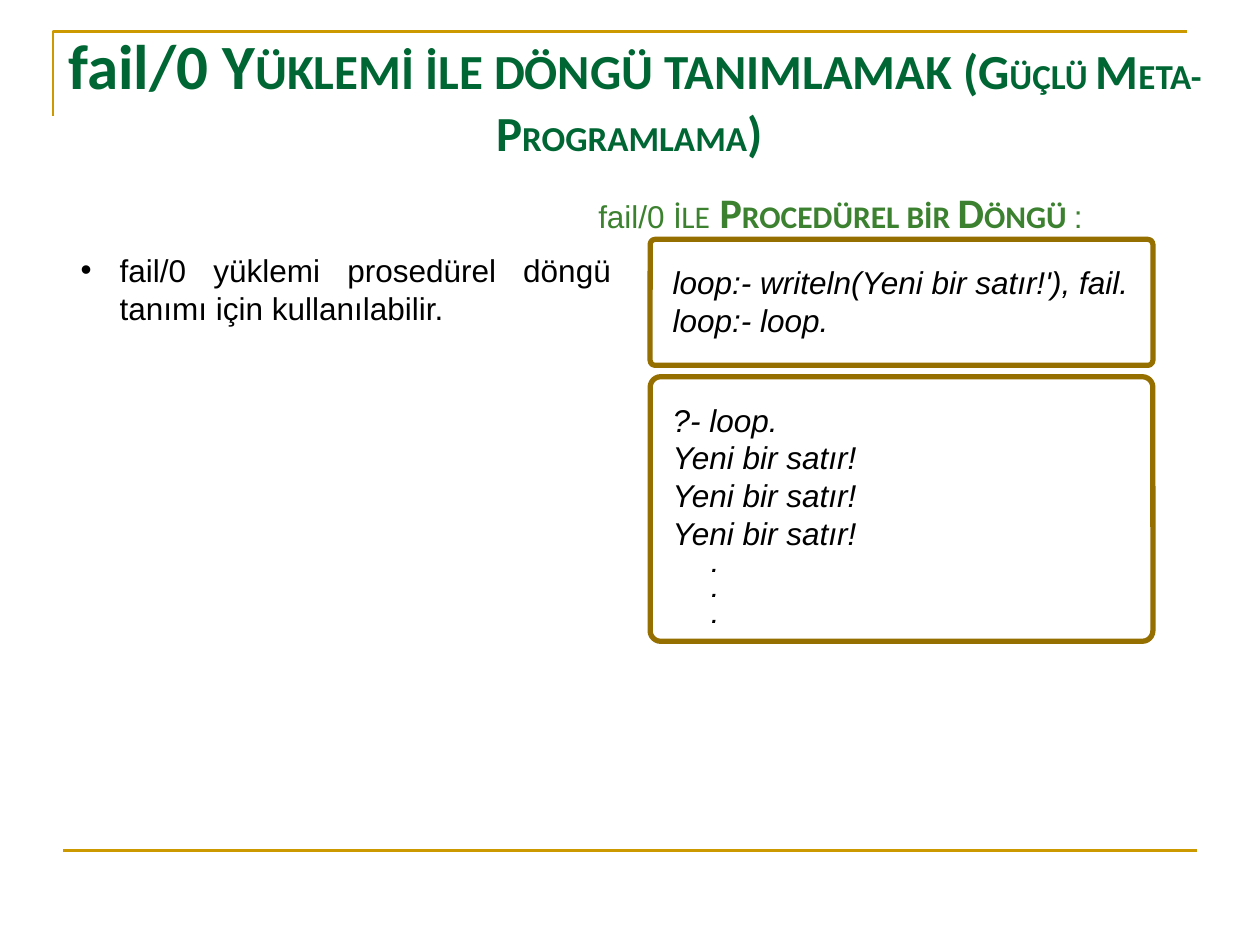
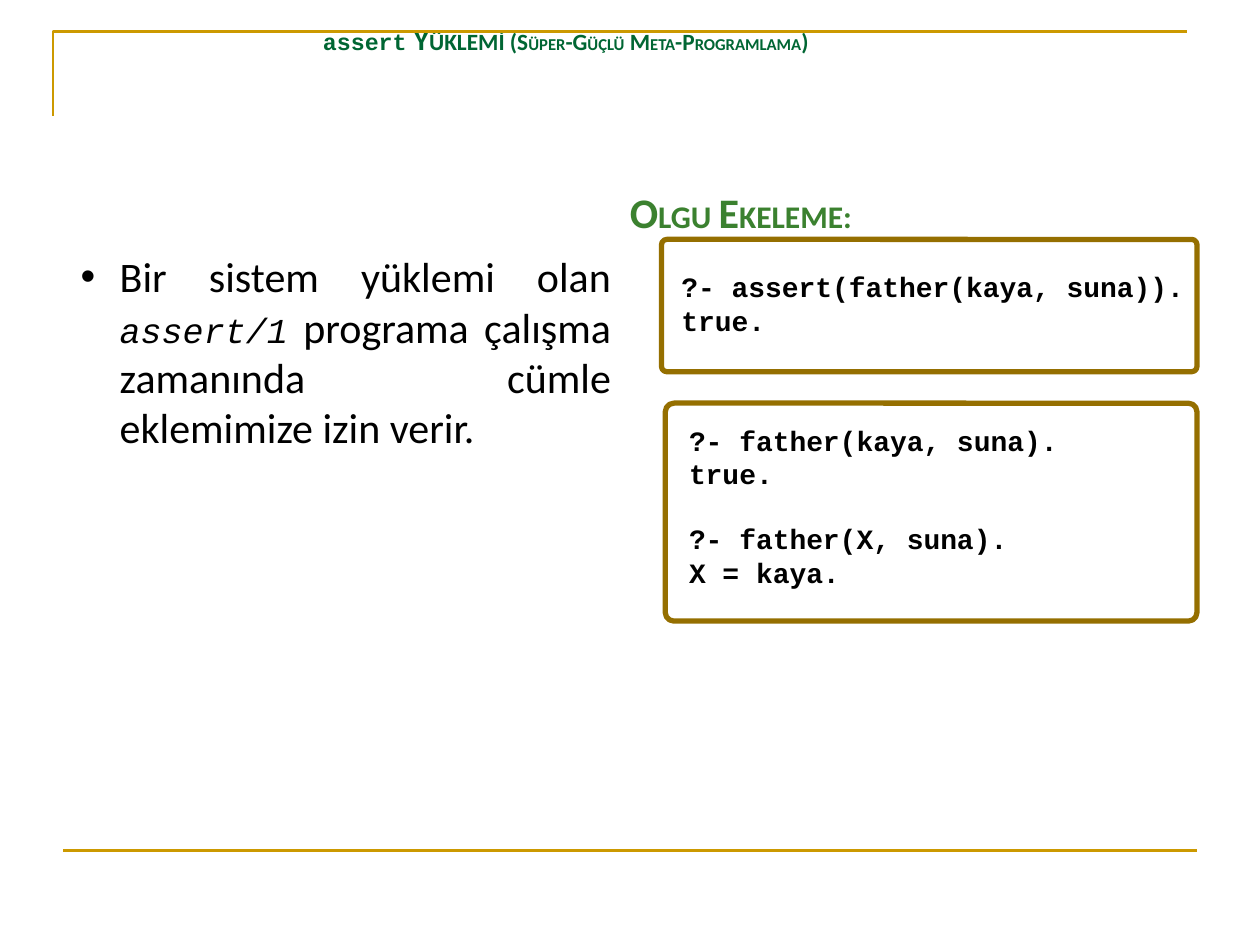
import pptx
import pptx.dml.color
import pptx.enum.shapes
import pptx.enum.text
import pptx.oxml.ns
import pptx.slide
import pptx.text.text
import pptx.util
from dataclasses import dataclass
from typing import Any, NamedTuple
from lxml import etree

EMU_PER_PX = 9144  # 100 px to the inch
COLORS = {
    "rule": "CC9900",
    "frame": "956F00",
    "title": "006633",
    "heading": "3B812F",
    "text": "000000",
}
ALIGN = pptx.enum.text.PP_ALIGN
SANS, HUMANIST, MONO = "Arial", "Calibri", "Courier New"


class Box(NamedTuple):
    left: int
    top: int
    width: int
    height: int


class Run(NamedTuple):
    text: str
    size: float
    font: str = HUMANIST
    bold: bool = True
    italic: bool = False


@dataclass
class Paragraph:
    runs: list[Run]
    align: Any = ALIGN.LEFT
    margin: int = 0
    indent: int = 0
    space_before: float = 0
    space_after: float = 0
    line_spacing: float = 1.0
    bullet: str = ""


@dataclass
class CodePanel:
    frame: Box
    text: Box
    lines: list[Paragraph]


@dataclass
class Lesson:
    title_box: Box
    title: Paragraph
    body_box: Box
    body: list[Run]
    heading_box: Box
    heading: list[Run]
    panels: list[CodePanel]


def px(length: int) -> pptx.util.Emu:
    return pptx.util.Emu(length * EMU_PER_PX)


def rgb(name: str) -> pptx.dml.color.RGBColor:
    return pptx.dml.color.RGBColor.from_string(COLORS[name])


def apply_format(target: Any, values: dict[str, Any]) -> None:
    for name, value in values.items():
        setattr(target, name, value)


def place(shape: Any, box: Box) -> None:
    apply_format(shape, {name: px(value) for name, value in box._asdict().items()})


def add_bullet(properties: Any, character: str) -> None:
    qn = pptx.oxml.ns.qn
    color = etree.SubElement(properties, qn("a:buClr"))
    etree.SubElement(color, qn("a:srgbClr"), val=COLORS["text"])
    etree.SubElement(properties, qn("a:buFont"), typeface=SANS)
    etree.SubElement(properties, qn("a:buChar"), char=character)


def write_paragraph(paragraph: pptx.text.text._Paragraph, content: Paragraph, color: str) -> None:
    apply_format(paragraph, {
        "alignment": content.align,
        "line_spacing": content.line_spacing,
        "space_before": pptx.util.Pt(content.space_before),
        "space_after": pptx.util.Pt(content.space_after),
    })
    properties = paragraph._p.get_or_add_pPr()
    properties.set("marL", str(px(content.margin)))
    properties.set("indent", str(px(content.indent)))
    if content.bullet:
        add_bullet(properties, content.bullet)
    for item in content.runs:
        run = paragraph.add_run()
        run.text = item.text
        apply_format(run.font, {
            "name": item.font,
            "size": pptx.util.Pt(item.size),
            "bold": item.bold,
            "italic": item.italic,
        })
        run.font.color.rgb = rgb(color)


def fill_text(shape: Any, box: Box, paragraphs: list[Paragraph], color: str) -> None:
    """Move a text shape to its box and write the paragraphs into it."""
    place(shape, box)
    frame = shape.text_frame
    apply_format(frame, {
        "word_wrap": True,
        "auto_size": pptx.enum.text.MSO_AUTO_SIZE.NONE,
        "vertical_anchor": pptx.enum.text.MSO_ANCHOR.TOP,
        "margin_left": px(10),
        "margin_right": px(10),
        "margin_top": px(5),
        "margin_bottom": px(5),
    })
    for index, content in enumerate(paragraphs):
        paragraph = frame.add_paragraph() if index else frame.paragraphs[0]
        write_paragraph(paragraph, content, color)


def add_text(slide: pptx.slide.Slide, box: Box, paragraphs: list[Paragraph], color: str) -> None:
    textbox = slide.shapes.add_textbox(*map(px, box))
    fill_text(textbox, box, paragraphs, color)


def style_line(shape: Any, color: str, width: float) -> None:
    shape.line.color.rgb = rgb(color)
    shape.line.width = pptx.util.Pt(width)


def add_rules(slide: pptx.slide.Slide) -> None:
    """Draw the corner rule at the top and the footer rule."""
    builder = slide.shapes.build_freeform(42, 92, scale=EMU_PER_PX)
    builder.add_line_segments([(42, 25), (942, 25)], close=False)
    corner = builder.convert_to_shape()
    corner.shadow.inherit = False
    corner.fill.background()
    footer = slide.shapes.add_connector(
        pptx.enum.shapes.MSO_CONNECTOR.STRAIGHT, px(50), px(675), px(950), px(675))
    etree.SubElement(footer._element.spPr, pptx.oxml.ns.qn("a:effectLst"))
    for rule in (corner, footer):
        style_line(rule, "rule", 1.5)


def add_panel(slide: pptx.slide.Slide, panel: CodePanel) -> None:
    frame = slide.shapes.add_shape(
        pptx.enum.shapes.MSO_SHAPE.ROUNDED_RECTANGLE, *map(px, panel.frame))
    frame.adjustments[0] = 0.04
    frame.shadow.inherit = False
    frame.fill.background()
    style_line(frame, "frame", 3)
    add_text(slide, panel.text, panel.lines, "text")


def add_lesson(presentation: Any, lesson: Lesson) -> None:
    slide = presentation.slides.add_slide(presentation.slide_layouts[1])
    title, body = slide.placeholders
    add_rules(slide)
    fill_text(title, lesson.title_box, [lesson.title], "title")
    bullet = Paragraph(lesson.body, ALIGN.JUSTIFY, 31, -31, space_after=6, bullet="•")
    fill_text(body, lesson.body_box, [bullet], "text")
    add_text(slide, lesson.heading_box, [Paragraph(lesson.heading)], "heading")
    for panel in lesson.panels:
        add_panel(slide, panel)


def sans_code(text: str) -> Paragraph:
    return Paragraph([Run(text, 18, SANS, False, True)])


def mono_code(text: str, space_before: float = 0) -> Paragraph:
    return Paragraph([Run(text, 16, MONO)], space_before=space_before)


def ellipsis_dot() -> Paragraph:
    return Paragraph([Run(".", 12, SANS, True, True)], margin=31)


FAIL_LESSON = Lesson(
    title_box=Box(27, 16, 945, 77),
    title=Paragraph([
        Run("fail/0 Y", 36), Run("ÜKLEMİ İLE DÖNGÜ TANIMLAMAK (G", 28),
        Run("ÜÇLÜ ", 20), Run("M", 28), Run("ETA-", 20), Run("P", 28),
        Run("ROGRAMLAMA", 20), Run(")", 28),
    ], ALIGN.CENTER, indent=9),
    body_box=Box(54, 194, 441, 70),
    body=[Run("fail/0 yüklemi prosedürel döngü tanımı için kullanılabilir.", 18, SANS, False)],
    heading_box=Box(465, 143, 464, 50),
    heading=[
        Run("fail/0 ", 18, SANS, False), Run("İLE", 18, bold=False), Run(" P", 24),
        Run("ROCEDÜREL BİR ", 18), Run("D", 24), Run("ÖNGÜ ", 18),
        Run(":", 18, SANS, False),
    ],
    panels=[
        CodePanel(Box(516, 190, 399, 100), Box(524, 204, 390, 70), [
            sans_code("loop:- writeln(Yeni bir satır!'), fail."),
            sans_code("loop:- loop."),
        ]),
        CodePanel(Box(516, 299, 399, 210), Box(524, 313, 273, 190), [
            sans_code("?- loop."),
            *(sans_code("Yeni bir satır!") for _ in range(3)),
            *(ellipsis_dot() for _ in range(3)),
        ]),
    ],
)

ASSERT_LESSON = Lesson(
    title_box=Box(20, 17, 858, 81),
    title=Paragraph([
        Run("assert", 13.3, MONO), Run(" Y", 17.1), Run("ÜKLEMİ (S", 13.3),
        Run("ÜPER", 9.5), Run("-G", 13.3), Run("ÜÇLÜ", 9.5), Run(" M", 13.3),
        Run("ETA", 9.5), Run("-P", 13.3), Run("ROGRAMLAMA", 9.5), Run(")", 13.3),
    ], ALIGN.CENTER, line_spacing=0.8),
    body_box=Box(54, 194, 441, 210),
    body=[
        Run("Bir sistem yüklemi olan ", 24, bold=False),
        Run("assert/1", 20, MONO, False, True),
        Run(" programa çalışma zamanında cümle eklemimize izin verir.", 24, bold=False),
    ],
    heading_box=Box(490, 143, 233, 50),
    heading=[Run("O", 24), Run("LGU ", 18), Run("E", 24), Run("KELEME:", 18)],
    panels=[
        CodePanel(Box(525, 190, 425, 105), Box(531, 209, 433, 64), [
            mono_code("?- assert(father(kaya, suna))."),
            mono_code("true."),
        ]),
        CodePanel(Box(528, 320, 422, 173), Box(537, 331, 369, 144), [
            mono_code("?- father(kaya, suna)."),
            mono_code("true."),
            mono_code("?- father(X, suna).", space_before=18),
            mono_code("X = kaya."),
        ]),
    ],
)


def main() -> None:
    presentation = pptx.Presentation()
    presentation.slide_width, presentation.slide_height = px(1000), px(750)
    for lesson in (FAIL_LESSON, ASSERT_LESSON):
        add_lesson(presentation, lesson)
    presentation.save("out.pptx")


if __name__ == "__main__":
    main()
